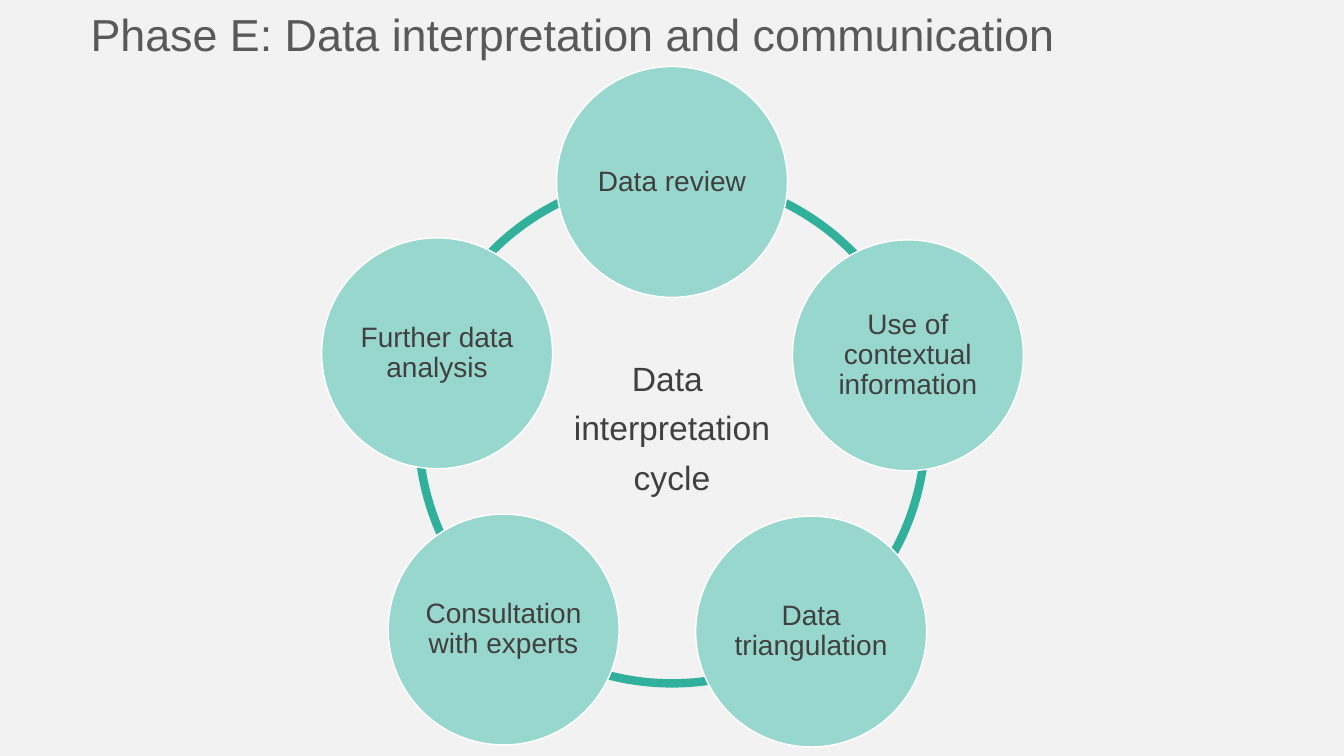
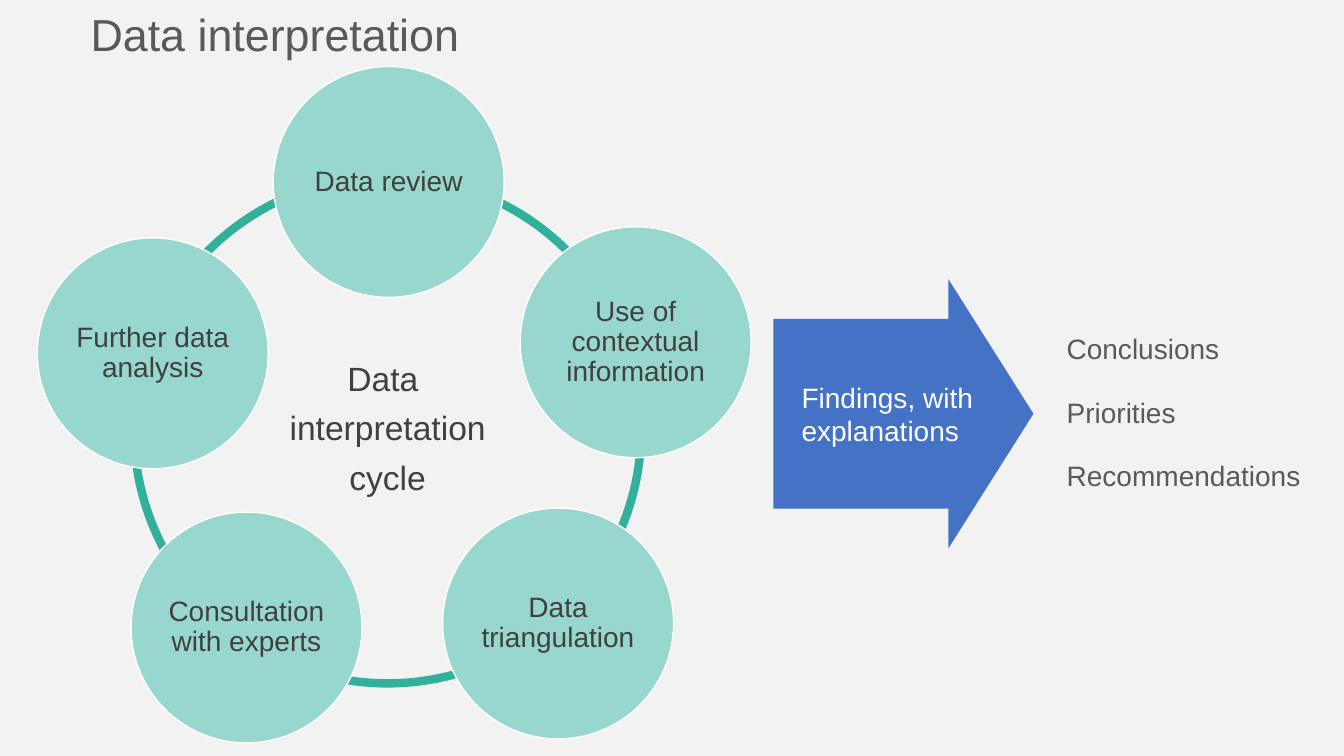
from pptx import Presentation
from pptx.dml.color import RGBColor
from pptx.enum.shapes import MSO_SHAPE
from pptx.enum.text import MSO_ANCHOR, MSO_AUTO_SIZE, PP_ALIGN
from pptx.util import Inches, Pt

PAPER = RGBColor(0xF2, 0xF2, 0xF2)
GREY = RGBColor(0x59, 0x59, 0x59)
DARK = RGBColor(0x40, 0x40, 0x40)
WHITE = RGBColor(0xFF, 0xFF, 0xFF)
TEAL = RGBColor(0x31, 0xB0, 0x9C)
MINT = RGBColor(0x98, 0xD7, 0xCE)
BLUE = RGBColor(0x44, 0x72, 0xC4)

FONT = "Arial"
RING = 5.03  # ring diameter
NODE = 2.29  # step diameter
TOP = 1.75   # top of the ring

STEPS = ["Data review", "Data triangulation", "Consultation with experts",
         "Use of contextual information", "Further data analysis"]

# Left and top of each step, in the order of STEPS
WIDE = [(5.52, 0.66), (6.9, 5.12), (3.85, 5.1), (7.86, 2.38), (3.19, 2.36)]
SIDE = [(2.71, 0.66), (4.39, 5.04), (1.3, 5.08), (5.16, 2.25), (0.37, 2.36)]


def set_text(shape, text, size, color, align=PP_ALIGN.LEFT, line=None, after=0):
    """Fill a shape with text, one paragraph per line."""
    frame = shape.text_frame
    frame.word_wrap = True
    frame.text = text
    for para in frame.paragraphs:
        para.alignment = align
        para.line_spacing = line
        para.space_after = Pt(after)
        for run in para.runs:
            run.font.name = FONT
            run.font.size = Pt(size)
            run.font.color.rgb = color
    return frame


def set_pad(frame, left, top, right, low):
    """Centre the text vertically and set its margins."""
    frame.vertical_anchor = MSO_ANCHOR.MIDDLE
    frame.margin_left, frame.margin_top = Inches(left), Inches(top)
    frame.margin_right, frame.margin_bottom = Inches(right), Inches(low)


def add_label(slide, text, left, top, width, height, size, line=None):
    box = slide.shapes.add_textbox(Inches(left), Inches(top),
                                   Inches(width), Inches(height))
    frame = set_text(box, text, size, GREY, line=line)
    frame.auto_size = MSO_AUTO_SIZE.SHAPE_TO_FIT_TEXT


def add_disc(slide, text, left, top, width, size, after, fill, edge, weight):
    disc = slide.shapes.add_shape(MSO_SHAPE.OVAL, Inches(left), Inches(top),
                                  Inches(width), Inches(width))
    disc.shadow.inherit = False
    if fill is None:
        disc.fill.background()
    else:
        disc.fill.solid()
        disc.fill.fore_color.rgb = fill
    disc.line.color.rgb = edge
    disc.line.width = Pt(weight)
    frame = set_text(disc, text, size, DARK, PP_ALIGN.CENTER, 0.9, after)
    set_pad(frame, 0, 0.03, 0, 0.03)


def add_cycle(slide, left, spots):
    """Draw the ring, then the steps over it."""
    add_disc(slide, "Data \ninterpretation\ncycle", left, TOP, RING,
             24, 9.5, None, TEAL, 6)
    for text, (x, y) in zip(STEPS, spots):
        add_disc(slide, text, x, y, NODE, 20, 8, MINT, WHITE, 1)


def add_arrow(slide, text):
    arrow = slide.shapes.add_shape(MSO_SHAPE.RIGHT_ARROW, Inches(7.67),
                                   Inches(2.77), Inches(2.58), Inches(2.67))
    arrow.adjustments[0] = 0.705
    arrow.adjustments[1] = 0.327
    arrow.shadow.inherit = False
    arrow.fill.solid()
    arrow.fill.fore_color.rgb = BLUE
    arrow.line.fill.background()
    frame = set_text(arrow, text, 20, WHITE, after=6)
    set_pad(frame, 0.28, 0.05, 0, 0.05)


def add_page(prs, title):
    slide = prs.slides.add_slide(prs.slide_layouts[6])
    add_label(slide, title, 0.8, 0.02, 10.96, 0.64, 32)
    return slide


def main():
    prs = Presentation()
    prs.slide_width, prs.slide_height = Inches(13.33), Inches(7.5)
    back = prs.slide_master.background.fill
    back.solid()
    back.fore_color.rgb = PAPER

    # Cycle alone
    page = add_page(prs, "Phase E: Data interpretation and communication")
    add_cycle(page, 4.15, WIDE)

    # Cycle leading to its results
    page = add_page(prs, "Data interpretation")
    add_cycle(page, 1.33, SIDE)
    add_arrow(page, "Findings, with explanations")
    for row, text in enumerate(["Conclusions", "Priorities", "Recommendations"]):
        add_label(page, text, 10.48, 3.28 + 0.63 * row, 2.71, 0.41, 20, 0.9)

    prs.save("out.pptx")


if __name__ == "__main__":
    main()
